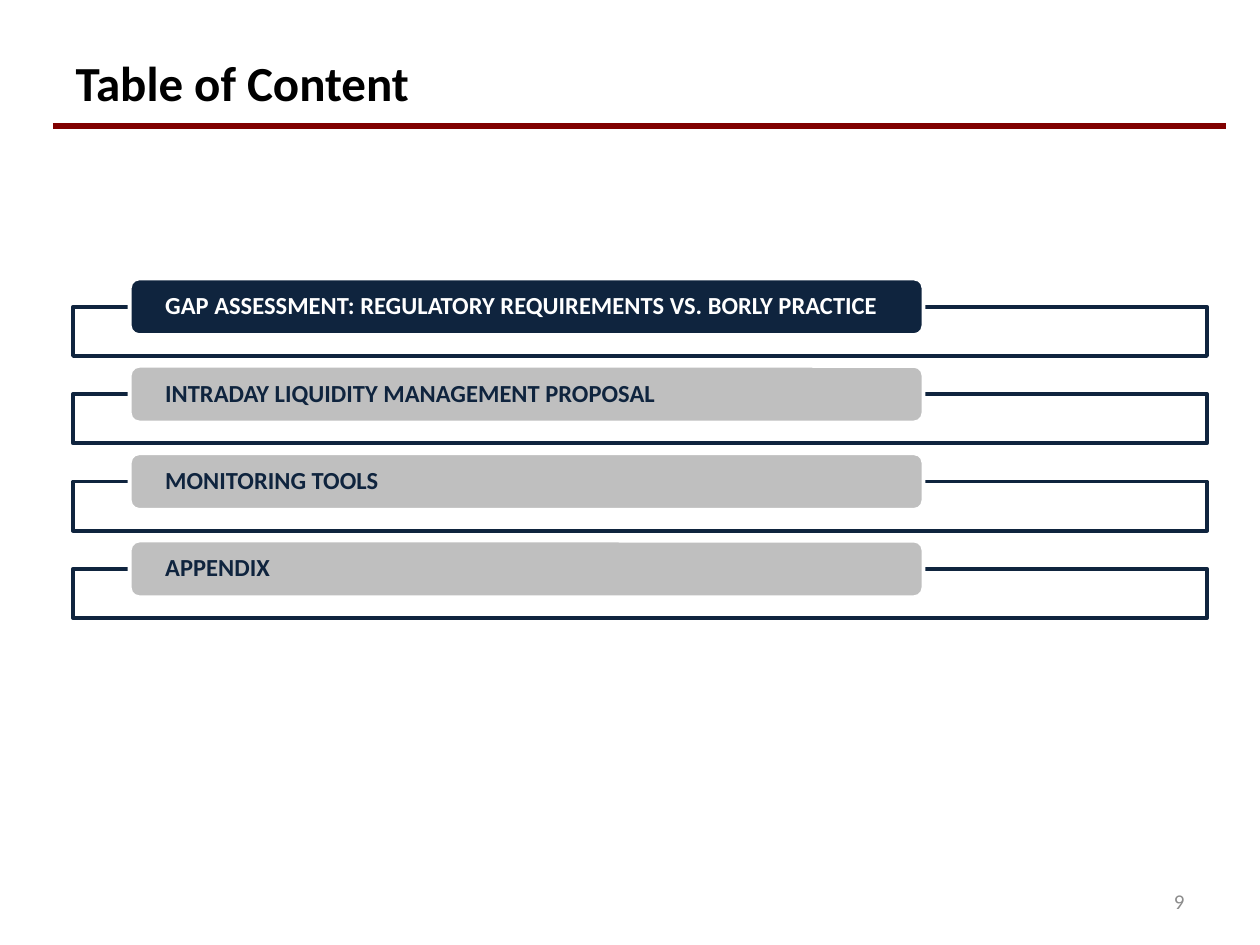
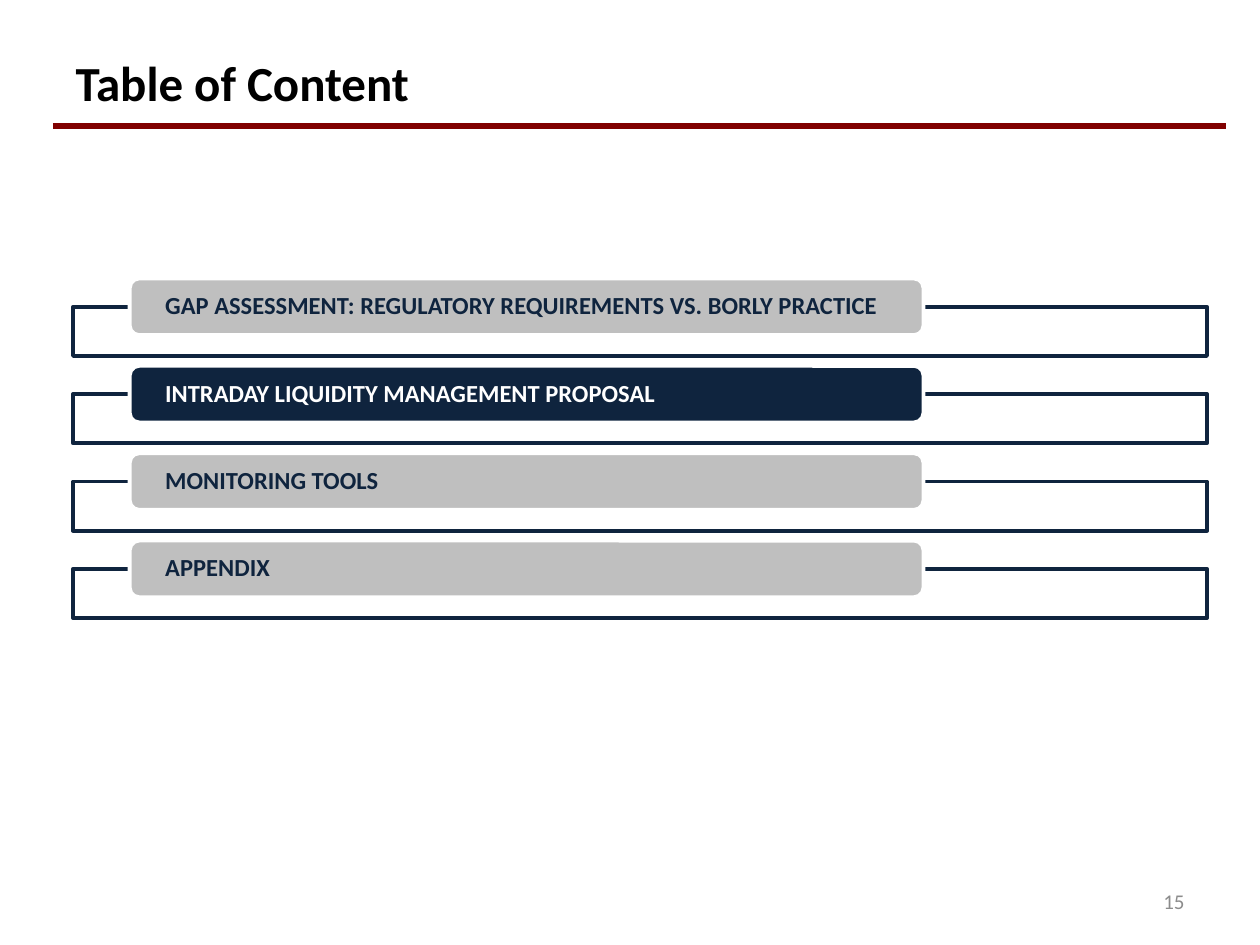
from dataclasses import dataclass

from lxml.etree import SubElement
from pptx import Presentation
from pptx.dml.color import RGBColor
from pptx.enum.shapes import MSO_CONNECTOR as Connector, MSO_SHAPE as Preset
from pptx.enum.text import MSO_ANCHOR as Anchor, PP_ALIGN as Align
from pptx.oxml.ns import qn
from pptx.util import Inches, Pt

TITLE = "Table of Content"
SECTIONS = [
    "GAP ASSESSMENT: REGULATORY REQUIREMENTS VS. BORLY PRACTICE",
    "INTRADAY LIQUIDITY MANAGEMENT PROPOSAL",
    "MONITORING TOOLS",
    "APPENDIX",
]
PAGES = [
    {"number": "9", "active": 0},
    {"number": "15", "active": 1},
]


@dataclass(frozen=True)
class Theme:
    font: str = "Calibri"
    black: str = "000000"
    white: str = "FFFFFF"
    navy: str = "0F243E"
    grey: str = "BFBFBF"
    red: str = "800000"
    footer: str = "8C8C8C"
    title_size: float = 28
    section_size: float = 14
    footer_size: float = 12
    outline: float = 2.25
    rule: float = 3


THEME = Theme()
SLIDE_WIDTH, SLIDE_HEIGHT = 10, 7.5
TITLE_BOX = (0.5, 0.3, 9, 0.7)
NUMBER_BOX = (7.17, 6.95, 2.33, 0.4)
RULE_LEFT, RULE_RIGHT, RULE_TOP = 0.42, 9.73, 1
FRAME_LEFT, FRAME_WIDTH, FRAME_HEIGHT = 0.58, 9, 0.39
LABEL_WIDTH, LABEL_HEIGHT = 0.7 * FRAME_WIDTH, 0.45
LABEL_LEFT = FRAME_LEFT + 0.05 * FRAME_WIDTH
LABEL_INSET = 0.26
FIRST_TOP, LAST_TOP = 2.21, 4.29
PITCH = (LAST_TOP - FIRST_TOP) / (len(SECTIONS) - 1)


def color(value):
    return RGBColor.from_string(value)


def inches(*lengths):
    return [Inches(length) for length in lengths]


def write(box, text, size, ink, bold=False, align=Align.LEFT):
    frame = box.text_frame
    frame.text = text
    frame.word_wrap = True
    frame.vertical_anchor = Anchor.MIDDLE
    para = frame.paragraphs[0]
    para.alignment = align
    font = para.runs[0].font
    font.name, font.size, font.bold = THEME.font, Pt(size), bold
    font.color.rgb = color(ink)
    return frame


def add_panel(page, preset, area, fill, line):
    panel = page.shapes.add_shape(preset, *inches(*area))
    panel.shadow.inherit = False
    panel.fill.solid()
    panel.fill.fore_color.rgb = color(fill)
    panel.line.color.rgb = color(line)
    panel.line.width = Pt(THEME.outline)
    return panel


def add_section(page, row, text, active):
    top = FIRST_TOP + row * PITCH
    frame_area = (FRAME_LEFT, top + LABEL_HEIGHT / 2, FRAME_WIDTH, FRAME_HEIGHT)
    add_panel(page, Preset.RECTANGLE, frame_area, THEME.white, THEME.navy)
    fill, ink = (THEME.navy, THEME.white) if active else (THEME.grey, THEME.navy)
    label_area = (LABEL_LEFT, top, LABEL_WIDTH, LABEL_HEIGHT)
    label = add_panel(page, Preset.ROUNDED_RECTANGLE, label_area, fill, THEME.white)
    frame = write(label, text, THEME.section_size, ink, bold=True)
    frame.margin_left = frame.margin_right = Inches(LABEL_INSET)
    frame.margin_top = frame.margin_bottom = 0
    frame.paragraphs[0].line_spacing = 0.9


def add_furniture(page, number):
    rule = page.shapes.add_connector(
        Connector.STRAIGHT, *inches(RULE_LEFT, RULE_TOP, RULE_RIGHT, RULE_TOP))
    rule.line.color.rgb = color(THEME.red)
    rule.line.width = Pt(THEME.rule)
    SubElement(rule._element.spPr, qn("a:effectLst"))
    title = page.shapes.title
    title.left, title.top, title.width, title.height = inches(*TITLE_BOX)
    write(title, TITLE, THEME.title_size, THEME.black, bold=True)
    number_box = page.shapes.add_textbox(*inches(*NUMBER_BOX))
    write(number_box, number, THEME.footer_size, THEME.footer, align=Align.RIGHT)


def main():
    deck = Presentation()
    deck.slide_width, deck.slide_height = inches(SLIDE_WIDTH, SLIDE_HEIGHT)
    title_only = deck.slide_layouts[5]
    for content in PAGES:
        page = deck.slides.add_slide(title_only)
        add_furniture(page, content["number"])
        for row, text in enumerate(SECTIONS):
            add_section(page, row, text, row == content["active"])
    deck.save("out.pptx")


if __name__ == "__main__":
    main()
